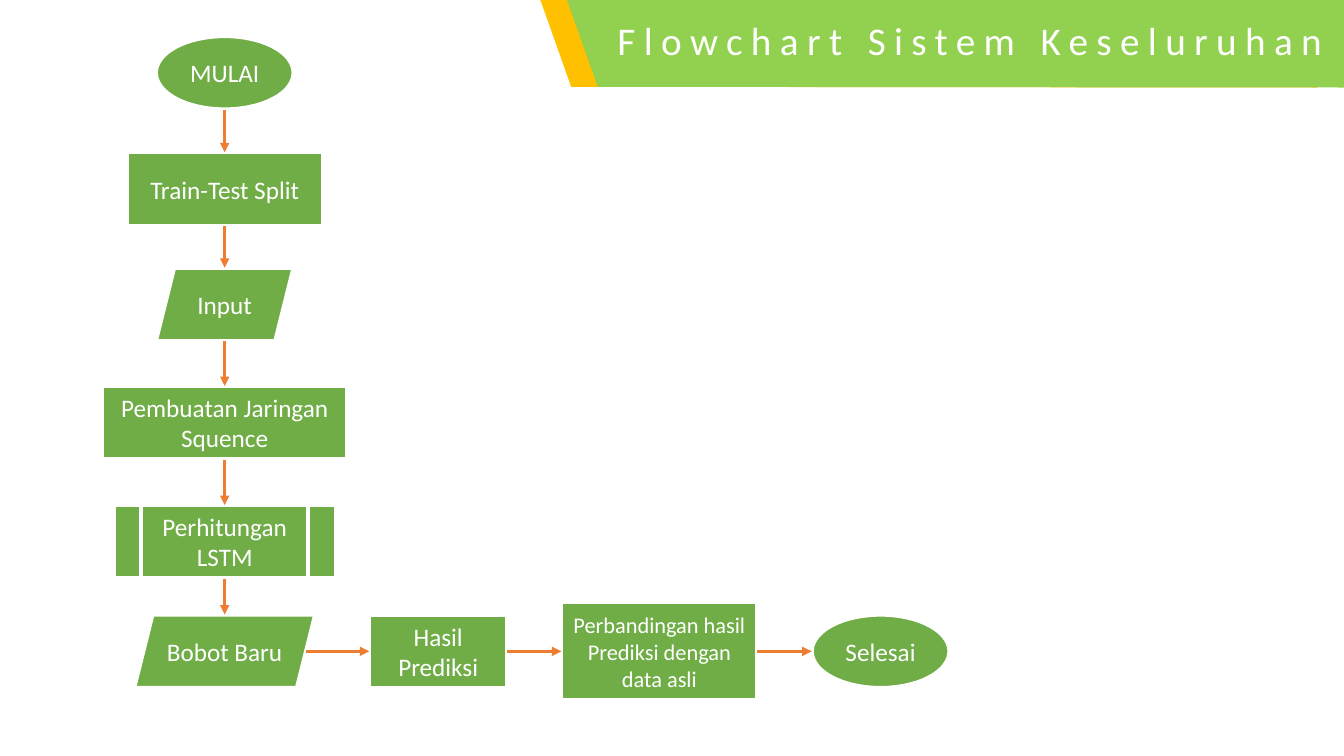
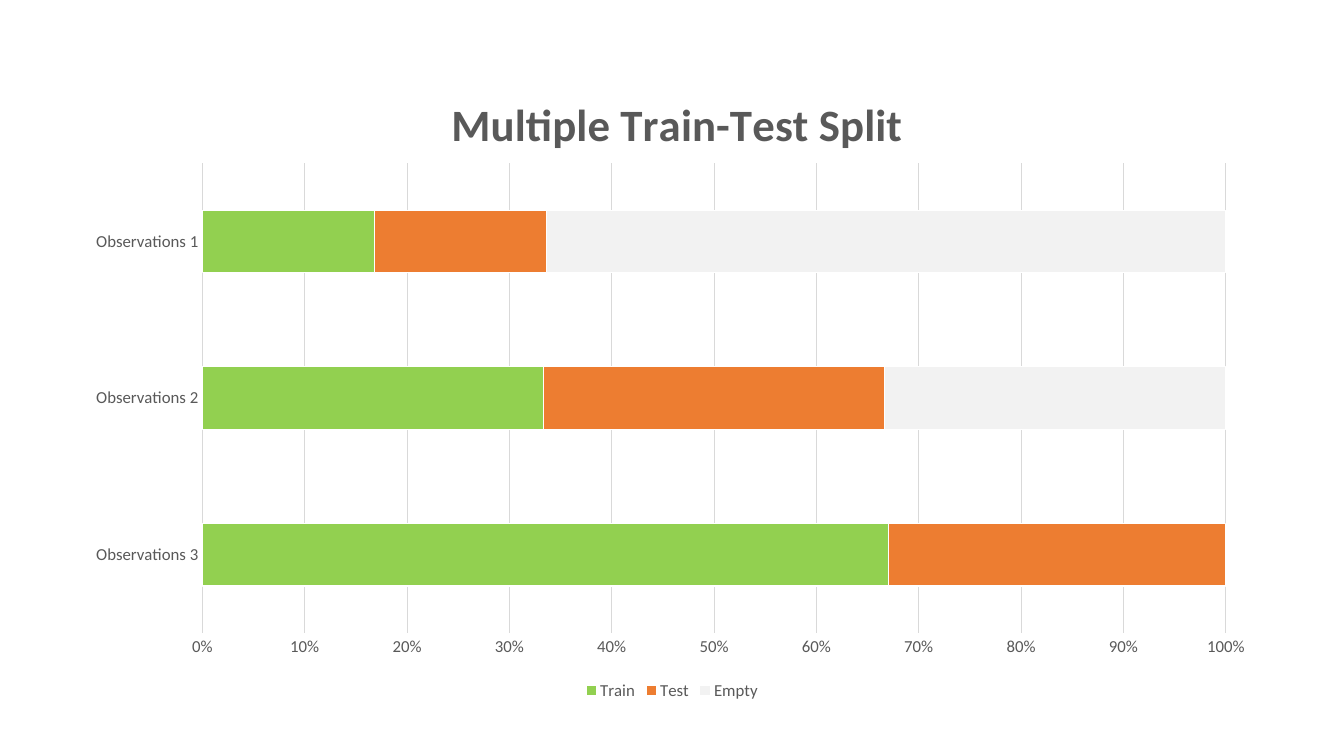
from dataclasses import dataclass

from lxml import etree
from pptx import Presentation
from pptx.chart.data import CategoryChartData
from pptx.dml.color import RGBColor
from pptx.enum.chart import XL_CHART_TYPE, XL_LEGEND_POSITION, XL_TICK_MARK
from pptx.enum.shapes import MSO_CONNECTOR, MSO_SHAPE
from pptx.enum.text import MSO_ANCHOR, PP_ALIGN
from pptx.oxml.ns import qn
from pptx.util import Pt

ELLIPSE = MSO_SHAPE.OVAL
RECTANGLE = MSO_SHAPE.RECTANGLE
PARALLELOGRAM = MSO_SHAPE.PARALLELOGRAM
SUBPROCESS = MSO_SHAPE.FLOWCHART_PREDEFINED_PROCESS
STRAIGHT = MSO_CONNECTOR.STRAIGHT
MIDDLE = MSO_ANCHOR.MIDDLE
LEFT, CENTER = PP_ALIGN.LEFT, PP_ALIGN.CENTER
STACKED_BARS = XL_CHART_TYPE.BAR_STACKED_100
LEGEND_BOTTOM = XL_LEGEND_POSITION.BOTTOM
NO_TICKS = XL_TICK_MARK.NONE
TOP_SITE, LEFT_SITE, BOTTOM_SITE, RIGHT_SITE = range(4)

SLIDE_WIDTH, SLIDE_HEIGHT = 960, 540
STEP_HEIGHT = 52.5
COLUMN_CENTER = 160.5
ROW_MIDDLE = 465.25


@dataclass(frozen=True)
class Theme:
    font: str = "Calibri"
    step: RGBColor = RGBColor(0x70, 0xAD, 0x47)
    lime: RGBColor = RGBColor(0x92, 0xD0, 0x50)
    gold: RGBColor = RGBColor(0xFF, 0xC0, 0x00)
    orange: RGBColor = RGBColor(0xED, 0x7D, 0x31)
    pale: RGBColor = RGBColor(0xF2, 0xF2, 0xF2)
    grid: RGBColor = RGBColor(0xD9, 0xD9, 0xD9)
    gray: RGBColor = RGBColor(0x59, 0x59, 0x59)
    white: RGBColor = RGBColor(0xFF, 0xFF, 0xFF)
    chart_title_size: int = 32
    title_size: int = 28
    step_size: int = 18
    small_step_size: int = 16
    chart_size: int = 12


@dataclass
class Step:
    shape: object
    kind: int
    center: float
    middle: float
    width: float
    height: float

    def side(self, site):
        """Return the point where an arrow meets this side."""
        slant = STEP_HEIGHT / 8 if self.kind == PARALLELOGRAM else 0
        half_width = self.width / 2 - slant
        half_height = self.height / 2
        across, down = {
            TOP_SITE: (0, -half_height),
            LEFT_SITE: (-half_width, 0),
            BOTTOM_SITE: (0, half_height),
            RIGHT_SITE: (half_width, 0),
        }[site]
        return Pt(self.center + across), Pt(self.middle + down)

    @property
    def joins(self):
        return self.kind in (RECTANGLE, SUBPROCESS)


class Painter:
    def __init__(self, deck, theme):
        self.deck = deck
        self.theme = theme
        self.page = None

    def new_page(self):
        self.page = self.deck.slides.add_slide(self.deck.slide_layouts[6])

    def style_font(self, font, size, color, bold=False):
        font.name = self.theme.font
        font.size = Pt(size)
        font.bold = bold
        font.color.rgb = color

    def fill_text(self, shape, text, size, align):
        frame = shape.text_frame
        frame.word_wrap = True
        frame.vertical_anchor = MIDDLE
        para = frame.paragraphs[0]
        para.text = text
        para.alignment = align
        self.style_font(para.font, size, self.theme.white)
        return para

    def step(self, kind, text, center, middle, width, height=STEP_HEIGHT, size=None):
        shape = self.page.shapes.add_shape(
            kind, Pt(center - width / 2), Pt(middle - height / 2), Pt(width), Pt(height))
        shape.shadow.inherit = False
        shape.fill.solid()
        shape.fill.fore_color.rgb = self.theme.step
        shape.line.color.rgb = self.theme.white
        shape.line.width = Pt(3)
        self.fill_text(shape, text, size or self.theme.step_size, CENTER)
        return Step(shape, kind, center, middle, width, height)

    def arrow(self, start, start_site, end, end_site):
        connector = self.page.shapes.add_connector(
            STRAIGHT, *start.side(start_site), *end.side(end_site))
        if start.joins:
            connector.begin_connect(start.shape, start_site)
        if end.joins:
            connector.end_connect(end.shape, end_site)
        connector.line.color.rgb = self.theme.orange
        connector.line.width = Pt(2.25)
        properties = connector.element.spPr
        etree.SubElement(properties.find(qn("a:ln")), qn("a:tailEnd"), type="triangle")
        etree.SubElement(properties, qn("a:effectLst"))

    def band(self, left, color):
        """Draw a title band with a slanted left edge."""
        outline = self.page.shapes.build_freeform(Pt(left), 0)
        outline.add_line_segments(
            [(Pt(left + x), Pt(y)) for x, y in ((555, 0), (555, 62.5), (22, 62))])
        shape = outline.convert_to_shape()
        shape.shadow.inherit = False
        shape.fill.solid()
        shape.fill.fore_color.rgb = color
        shape.line.fill.background()

    def title(self, text):
        self.band(386, self.theme.gold)
        self.band(405, self.theme.lime)
        box = self.page.shapes.add_textbox(Pt(434), Pt(6.5), Pt(526), Pt(47.5))
        box.text_frame.margin_right = 0
        para = self.fill_text(box, text, self.theme.title_size, LEFT)
        para.line_spacing = 0.9
        para.space_before = Pt(10)
        span = box.element.find(".//" + qn("a:r"))
        span.get_or_add_rPr().set("spc", "600")

    def bar_chart(self, title, categories, series):
        """Draw stacked bars from (name, values, color) rows."""
        data = CategoryChartData()
        data.categories = categories
        for name, values, _ in series:
            data.add_series(name, values)
        chart = self.page.shapes.add_chart(
            STACKED_BARS, Pt(50), Pt(37.5), Pt(860), Pt(466), data).chart
        theme = self.theme
        self.style_font(chart.font, theme.chart_size, theme.gray)

        chart.has_title = True
        para = chart.chart_title.text_frame.paragraphs[0]
        para.text = title
        self.style_font(para.font, theme.chart_title_size, theme.gray, bold=True)
        place_part(chart.chart_title.element, 1, x=0.31, y=0.05)
        plot_area = chart.element.find(".//" + qn("c:plotArea"))
        place_part(plot_area, 0, x=0.11, y=0.17, w=0.85, h=0.72)

        plot = chart.plots[0]
        plot.gap_width = 150
        plot.overlap = 100
        plot.vary_by_categories = False
        for bars, (_, _, color) in zip(plot.series, series):
            bars.format.fill.solid()
            bars.format.fill.fore_color.rgb = color
            bars.format.line.color.rgb = theme.white
            bars.format.line.width = Pt(0.75)

        for axis in (chart.category_axis, chart.value_axis):
            axis.major_tick_mark = axis.minor_tick_mark = NO_TICKS
            axis.format.line.fill.background()
            self.style_font(axis.tick_labels.font, theme.chart_size, theme.gray)
        chart.value_axis.tick_labels.number_format = "0%"
        chart.value_axis.tick_labels.number_format_is_linked = False
        grid = chart.value_axis.major_gridlines.format.line
        grid.color.rgb = theme.grid
        grid.width = Pt(0.75)

        chart.has_legend = True
        chart.legend.position = LEGEND_BOTTOM
        chart.legend.include_in_layout = False
        self.style_font(chart.legend.font, theme.chart_size, theme.gray)


def place_part(part, index, **fractions):
    """Fix a chart part's place as fractions of the chart frame."""
    for layout in part.findall(qn("c:layout")):
        part.remove(layout)
    layout = etree.Element(qn("c:layout"))
    part.insert(index, layout)
    manual = etree.SubElement(layout, qn("c:manualLayout"))
    if "w" in fractions:
        etree.SubElement(manual, qn("c:layoutTarget"), val="inner")
    for axis in "xy":
        etree.SubElement(manual, qn(f"c:{axis}Mode"), val="edge")
    for name, value in fractions.items():
        etree.SubElement(manual, qn(f"c:{name}"), val=str(value))


def draw_flowchart(painter):
    painter.new_page()
    column = [
        painter.step(kind, text, COLUMN_CENTER, middle, width)
        for kind, text, middle, width in (
            (ELLIPSE, "MULAI", 52, 98.5),
            (RECTANGLE, "Train-Test Split", 135, 140),
            (PARALLELOGRAM, "Input", 217.5, 98.5),
            (RECTANGLE, "Pembuatan Jaringan Squence", 302, 175.5),
            (SUBPROCESS, "Perhitungan LSTM", 387, 159),
            (PARALLELOGRAM, "Bobot Baru", ROW_MIDDLE, 129.5),
        )
    ]
    row = [
        column[-1],
        painter.step(RECTANGLE, "Hasil Prediksi", 313, ROW_MIDDLE, 98.5),
        painter.step(RECTANGLE, "Perbandingan hasil Prediksi dengan data asli",
                     471, ROW_MIDDLE, 140, 70, painter.theme.small_step_size),
        painter.step(ELLIPSE, "Selesai", 629, ROW_MIDDLE, 98.5),
    ]
    for steps, start_site, end_site in (
        (column, BOTTOM_SITE, TOP_SITE),
        (row, RIGHT_SITE, LEFT_SITE),
    ):
        for start, end in zip(steps, steps[1:]):
            painter.arrow(start, start_site, end, end_site)
    painter.title("Flowchart Sistem Keseluruhan")


def draw_split_chart(painter):
    painter.new_page()
    theme = painter.theme
    painter.bar_chart(
        "Multiple Train-Test Split",
        ["Observations 3", "Observations 2", "Observations 1"],
        [
            ("Train", (67, 33, 17), theme.lime),
            ("Test", (33, 33, 17), theme.orange),
            ("Empty", (0, 33, 67), theme.pale),
        ],
    )


def main():
    deck = Presentation()
    deck.slide_width, deck.slide_height = Pt(SLIDE_WIDTH), Pt(SLIDE_HEIGHT)
    painter = Painter(deck, Theme())
    draw_flowchart(painter)
    draw_split_chart(painter)
    deck.save("out.pptx")


if __name__ == "__main__":
    main()
